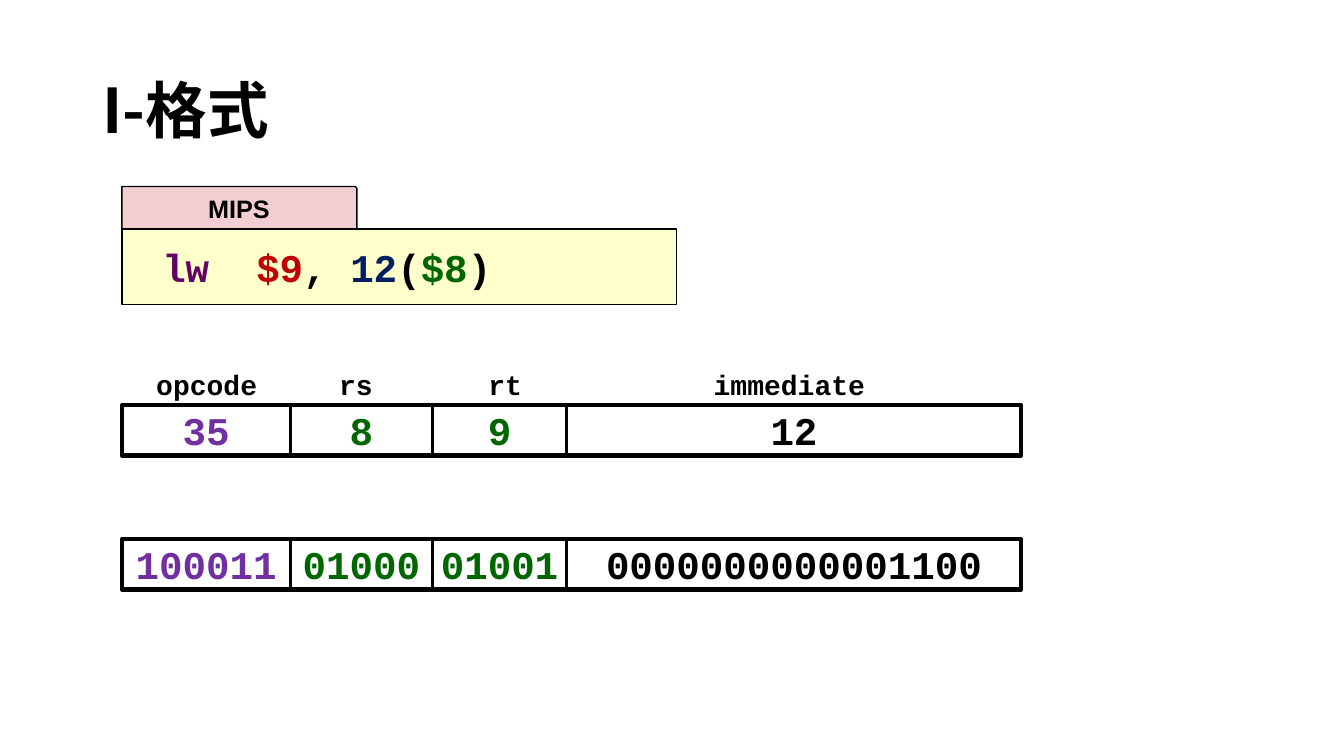
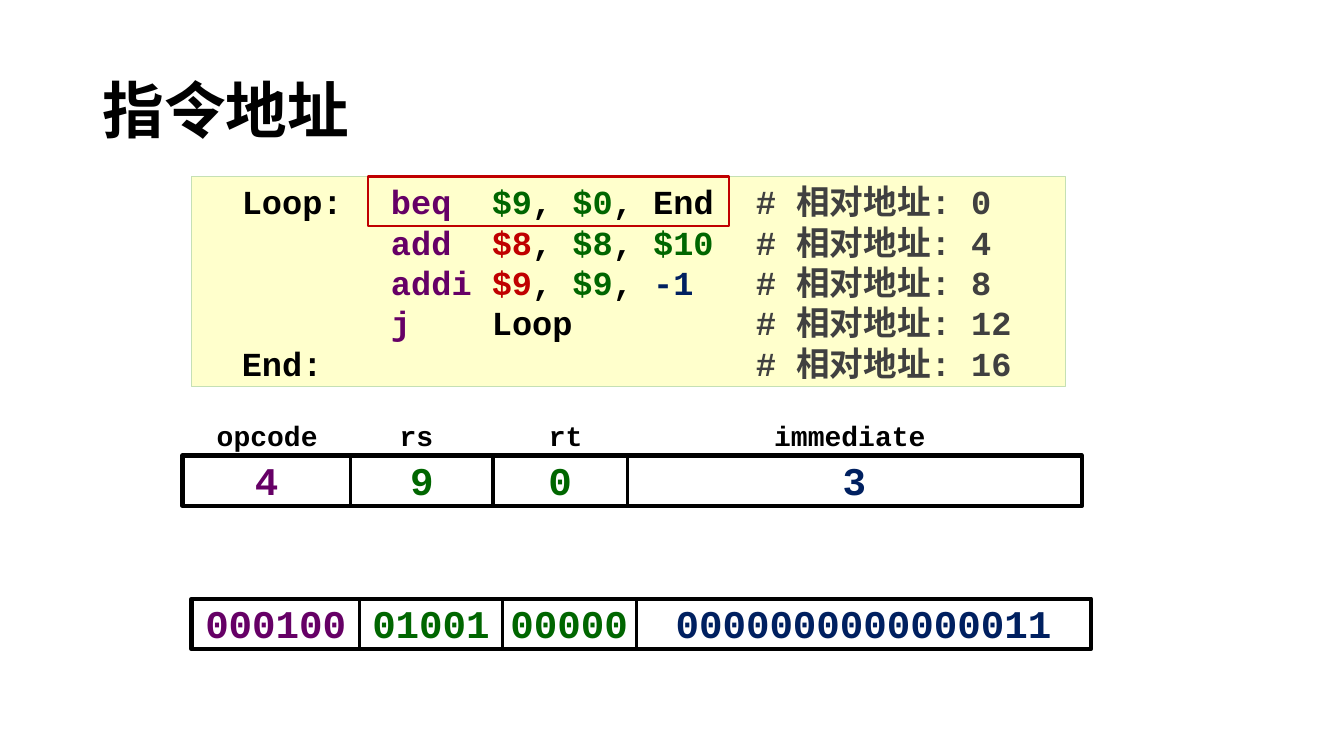
"""Build two slides on the I-format and on instruction addresses."""
from dataclasses import dataclass

from lxml.etree import SubElement
from pptx import Presentation
from pptx.dml.color import RGBColor
from pptx.enum.shapes import MSO_CONNECTOR, MSO_SHAPE
from pptx.enum.text import MSO_ANCHOR, PP_ALIGN
from pptx.oxml.ns import qn
from pptx.util import Inches, Pt


@dataclass(frozen=True)
class Theme:
    """Colours, fonts and type sizes."""
    ink: str = "000000"
    op: str = "660066"
    code: str = "7030A0"
    dest: str = "C00000"
    reg: str = "006600"
    num: str = "002060"
    note: str = "404040"
    paper: str = "FFFFCC"
    tab: str = "F2CED2"
    edge: str = "C5E0B4"
    sans: str = "Arial"
    mono: str = "Courier New"
    asian: str = "Noto Sans CJK SC"
    title: int = 44
    value: int = 28
    list: int = 24
    label: int = 20
    small: int = 18


T = Theme()
COMMA = (", ", T.ink)

LOAD = [("lw  ", T.op), ("$9", T.dest), COMMA, ("12", T.num),
        ("(", T.ink), ("$8", T.reg), (")", T.ink)]
LOOP = [
    [("  Loop:\t", T.ink), ("beq  ", T.op), ("$9", T.reg), COMMA,
     ("$0", T.reg), (", End\t", T.ink)],
    [("\tadd  ", T.op), ("$8", T.dest), COMMA, ("$8", T.reg), COMMA,
     ("$10\t", T.reg)],
    [("\taddi ", T.op), ("$9", T.dest), COMMA, ("$9", T.reg), COMMA,
     ("-1\t", T.num)],
    [("\tj", T.op), ("    Loop\t", T.ink)],
    [("  End:\t\t\t", T.ink)],
]
TABS = [1.88, 2.5, 5.5]

NAMES = ["opcode", "rs", "rt", "immediate"]
MIDS = [0.84, 2.32, 3.8, 6.62]
CUTS = [1.67, 3.08, 4.41]
WIDE, HIGH = 8.92, 0.5

LOADED = [T.code, T.reg, T.reg, T.ink]
BRANCH = [T.op, T.reg, T.reg, T.num]


def rgb(hue):
    """Turn a hex string into a colour."""
    return RGBColor.from_string(hue)


def write(para, runs, size, face=T.mono, tabs=()):
    """Fill a paragraph with coloured runs in one bold font."""
    props = para._p.get_or_add_pPr()
    if tabs:
        stops = SubElement(props, qn("a:tabLst"))
        for stop in tabs:
            SubElement(stops, qn("a:tab"), pos=str(Inches(stop)), algn="l")
    font = para.font
    font.size, font.name, font.bold = Pt(size), face, True
    hues = {hue for _, hue in runs}
    if len(hues) == 1:
        font.color.rgb = rgb(runs[0][1])
    SubElement(props.find(qn("a:defRPr")), qn("a:ea"), typeface=T.asian)
    for text, hue in runs:
        run = para.add_run()
        run.text = text
        if len(hues) > 1:
            run.font.color.rgb = rgb(hue)


def label(slide, box, text, size, hue=T.ink, face=T.mono,
          align=PP_ALIGN.CENTER):
    """Add a text box with one line of text."""
    frame = slide.shapes.add_textbox(*map(Inches, box)).text_frame
    frame.word_wrap = True
    para = frame.paragraphs[0]
    para.alignment = align
    write(para, [(text, hue)], size, face)
    return frame


def panel(slide, box, line, width, fill=None, kind=MSO_SHAPE.RECTANGLE):
    """Add an outlined shape, with or without a fill."""
    shape = slide.shapes.add_shape(kind, *map(Inches, box))
    shape.shadow.inherit = False
    shape.line.color.rgb = rgb(line)
    shape.line.width = Pt(width)
    if fill:
        shape.fill.solid()
        shape.fill.fore_color.rgb = rgb(fill)
    else:
        shape.fill.background()
    shape.text_frame.word_wrap = True
    shape.text_frame.paragraphs[0].alignment = PP_ALIGN.LEFT
    return shape


def heads(slide, left, top):
    """Name the four fields above a row."""
    for name, mid in zip(NAMES, MIDS):
        wide = len(name) * 0.17 + 0.3
        label(slide, (left + mid - wide / 2, top - 0.42, wide, 0.43),
              name, T.label)


def fields(slide, left, top, values, hues):
    """Draw one instruction word split into its four fields."""
    panel(slide, (left, top, WIDE, HIGH), T.ink, 3)
    for cut in CUTS:
        line = slide.shapes.add_connector(
            MSO_CONNECTOR.STRAIGHT, Inches(left + cut), Inches(top),
            Inches(left + cut), Inches(top + HIGH))
        line.line.color.rgb = rgb(T.ink)
        line.line.width = Pt(2.25)
        SubElement(line._element.spPr, qn("a:effectLst"))
    edges = [0, *CUTS, WIDE]
    for value, start, end, hue in zip(values, edges, edges[1:], hues):
        wide = len(value) * 0.24 + 0.3
        mid = left + (start + end) / 2
        label(slide, (mid - wide / 2, top - 0.04, wide, 0.57),
              value, T.value, hue)


def begin(deck, title):
    """Add a slide with its title."""
    slide = deck.slides.add_slide(deck.slide_layouts[6])
    frame = label(slide, (0.92, 0.4, 11.5, 1.45), title, T.title,
                  face=T.asian, align=PP_ALIGN.LEFT)
    frame.vertical_anchor = MSO_ANCHOR.MIDDLE
    frame.paragraphs[0].line_spacing = 0.9
    return slide


def format_slide(deck):
    """Show a load and its encoding."""
    slide = begin(deck, "I-格式")
    left = 1.21
    frame = panel(slide, (left, 2.27, 5.5, 0.75), T.ink, 1,
                  T.paper).text_frame
    frame.margin_left = Inches(0.4)
    frame.vertical_anchor = MSO_ANCHOR.MIDDLE
    write(frame.paragraphs[0], LOAD, T.value)
    tag = panel(slide, (left, 1.85, 2.33, 0.42), T.ink, 1, T.tab,
                MSO_SHAPE.SNIP_1_RECTANGLE)
    tag.adjustments[0] = 0.04
    tag.text_frame.vertical_anchor = MSO_ANCHOR.MIDDLE
    para = tag.text_frame.paragraphs[0]
    para.alignment = PP_ALIGN.CENTER
    write(para, [("MIPS", T.ink)], T.small, T.sans)
    heads(slide, left, 4.02)
    fields(slide, left, 4.02, ["35", "8", "9", "12"], LOADED)
    fields(slide, left, 5.35,
           ["100011", "01000", "01001", "0000000000001100"], LOADED)


def address_slide(deck):
    """Show a loop, its addresses and the encoded branch."""
    slide = begin(deck, "指令地址")
    frame = panel(slide, (1.9, 1.75, 8.67, 2.08), T.edge, 0.75,
                  T.paper).text_frame
    frame.vertical_anchor = MSO_ANCHOR.TOP
    for index, runs in enumerate(LOOP):
        para = frame.add_paragraph() if index else frame.paragraphs[0]
        para.alignment = PP_ALIGN.LEFT
        note = (f"# 相对地址: {4 * index}", T.note)
        write(para, runs + [note], T.list, tabs=TABS)
    panel(slide, (3.65, 1.75, 3.58, 0.49), T.dest, 1.75)
    heads(slide, 1.81, 4.52)
    fields(slide, 1.81, 4.52, ["4", "9", "0", "3"], BRANCH)
    fields(slide, 1.9, 5.94,
           ["000100", "01001", "00000", "0000000000000011"], BRANCH)


def main():
    """Build and save the deck."""
    deck = Presentation()
    deck.slide_width, deck.slide_height = Inches(13.33), Inches(7.5)
    format_slide(deck)
    address_slide(deck)
    deck.save("out.pptx")


if __name__ == "__main__":
    main()
